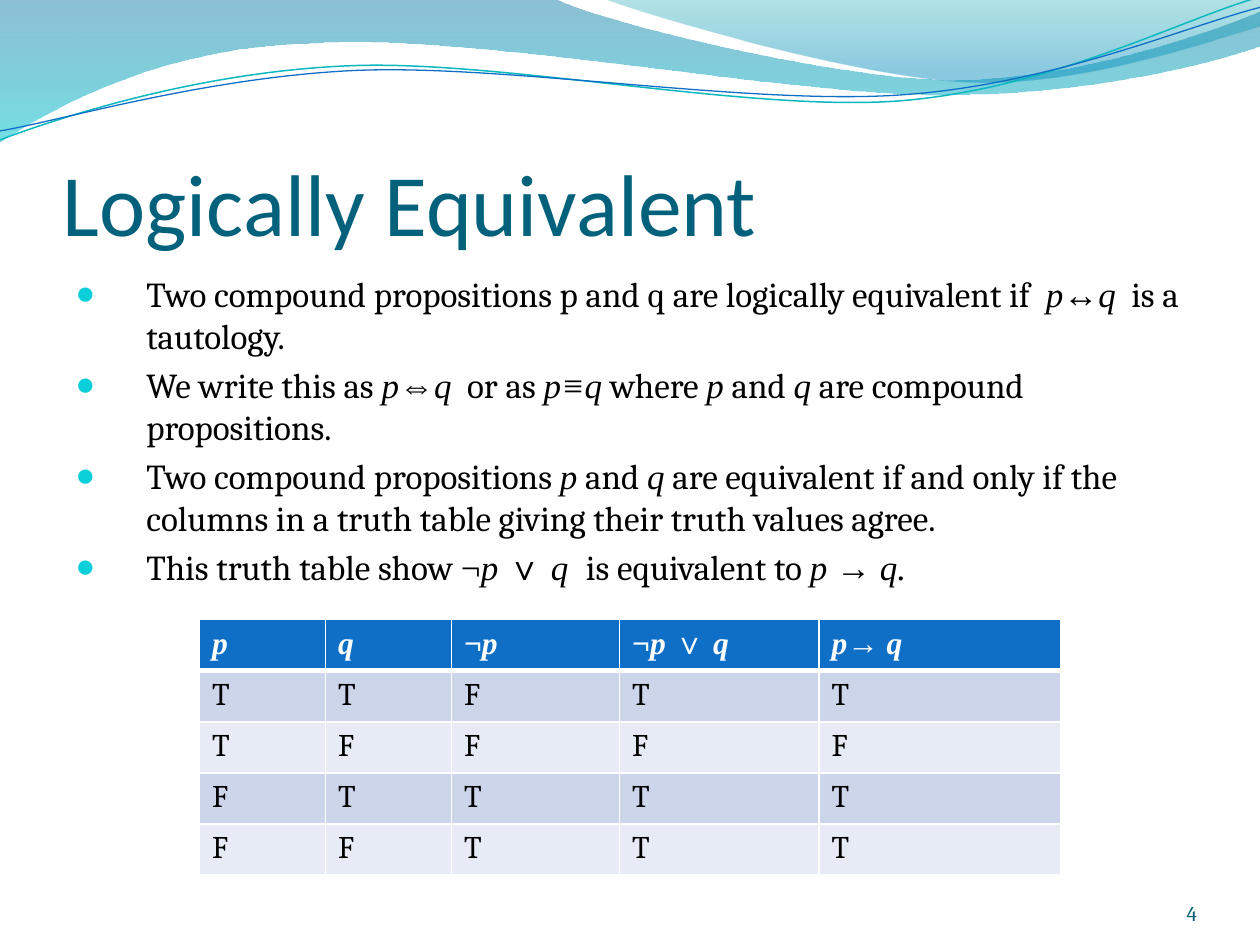
from lxml.etree import SubElement
from pptx import Presentation
from pptx.dml.color import RGBColor
from pptx.enum.text import MSO_ANCHOR, PP_ALIGN
from pptx.oxml.ns import qn
from pptx.util import Cm, Pt

THEME = {
    "title": "04617B", "text": "000000", "bullet": "0BD0D9", "number": "045D75",
    "header": "0F6FC6", "header_text": "FFFFFF", "border": "FFFFFF",
    "bands": ["CCD5EA", "E7EBF5"], "teal_line": "0AB8BF", "blue_line": "0F6FC6",
    # gradient stops: position, colour, opacity in percent
    "wide_wave": [(0, "0074A1", 45), (1, "00C6CF", 55)],
    "right_wave": [(0, "00A1A9", 30), (0.8, "008BBF", 45)],
    "heading_font": "Calibri", "body_font": "Cambria", "math_font": "Times New Roman",
    "title_pt": Pt(50), "body_pt": Pt(20), "table_pt": Pt(18), "number_pt": Pt(12),
}
rgb = RGBColor.from_string


def add_runs(p, marked, color, **fmt):
    """Text between bars is mathematics: italic, but for the logic signs."""
    for i, part in enumerate(marked.split("|")):
        if not part:
            continue
        style = {"name": THEME["body_font"], "italic": False}
        if i % 2:
            style = {"name": THEME["math_font"], "italic": part.strip() not in "¬∨"}
        r = p.add_run()
        r.text = part
        r.font.color.rgb = rgb(THEME[color])
        for key, value in (style | fmt).items():
            setattr(r.font, key, value)


def add_curve(start, segments, closed):
    """Draw straight (2 numbers) and cubic (6 numbers) segments given in cm."""
    points = [(Cm(seg[i]), Cm(seg[i + 1]))
              for seg in segments for i in range(0, len(seg), 2)]
    fb = s.shapes.build_freeform(Cm(start[0]), Cm(start[1]), scale=1.0)
    fb.add_line_segments(points, close=closed)
    sp = fb.convert_to_shape()
    sp.shadow.inherit = False
    # Merge each run of three points into one cubic segment
    steps = iter(list(sp._element.iter(qn("a:lnTo"))))
    for seg in segments:
        first = next(steps)
        if len(seg) == 6:
            first.tag = qn("a:cubicBezTo")
            for _ in range(2):
                extra = next(steps)
                first.append(extra[0])
                extra.getparent().remove(extra)
    return sp


prs = Presentation()
prs.slide_width, prs.slide_height = Cm(25.4), Cm(19.05)
s = prs.slides.add_slide(prs.slide_layouts[6])

# Filled waves along the top
waves = [
    ("wide_wave", (0, 0), [
        (11.18, -0.03), (12.09, 0.43, 16.87, 1.6, 19.25, 1.6),
        (21.67, 1.6, 24.33, 0.66, 25.4, 0.23), (25.43, 0.91),
        (24.97, 1.12, 22.1, 1.93, 18.95, 1.91),
        (15.8, 1.91, 9.7, 0.71, 6.53, 0.86),
        (3.28, 0.91, 1.17, 2.11, -0.03, 2.87), (0, 0)]),
    ("right_wave", (12.17, -0.03), [
        (12.93, 0.28, 17.32, 1.57, 19.53, 1.65),
        (21.74, 1.75, 24.41, 0.81, 25.4, 0.53), (25.4, 0), (12.17, -0.03)]),
]
for name, start, segments in waves:
    sp = add_curve(start, segments, True)
    sp.line.fill.background()
    sp.fill.gradient()
    sp.fill.gradient_angle = 270
    for stop, (position, color, _) in zip(sp.fill.gradient_stops, THEME[name]):
        stop.position = position
        stop.color.rgb = rgb(color)
    for clr, (_, _, opacity) in zip(sp._element.spPr.iter(qn("a:srgbClr")), THEME[name]):
        SubElement(clr, qn("a:alpha"), val=str(opacity * 1000))

# Thin lines under the waves, slightly turned
lines = [
    ("teal_line", 0.85, (-0.05, 2.22), [
        (1.19, 1.82, 4.02, 1.04, 7.05, 1.06), (10.05, 1.07, 15.02, 2.37, 18.08, 2.29),
        (21.13, 2.2, 23.87, 0.91, 25.41, 0.55)]),
    ("blue_line", 0.75, (-0.04, 2.04), [
        (1.16, 1.9, 4.18, 1.15, 7.2, 1.16), (10.25, 1.18, 15.13, 2.25, 18.18, 2.17),
        (21.21, 2.1, 23.93, 1.06, 25.45, 0.75)]),
]
for name, width, start, segments in lines:
    sp = add_curve(start, segments, False)
    sp.rotation = -2.7
    sp.fill.background()
    sp.line.color.rgb = rgb(THEME[name])
    sp.line.width = Pt(width)

# Text boxes for title, body and slide number
edge = {"margin_left": 0, "margin_right": 0, "margin_bottom": 0,
        "vertical_anchor": MSO_ANCHOR.BOTTOM}
boxes = {
    "title": ((1.27, 1.94, 22.86, 3.18), edge | {"margin_top": Cm(0.13)}),
    "body": ((1.27, 5.36, 22.86, 12.19), {}),
    "number": ((22.02, 17.65, 2.11, 1.02), edge | {"margin_top": 0}),
}
frames = {}
for name, (place, settings) in boxes.items():
    tf = s.shapes.add_textbox(*map(Cm, place)).text_frame
    for key, value in ({"word_wrap": True} | settings).items():
        setattr(tf, key, value)
    frames[name] = tf

add_runs(frames["title"].paragraphs[0], "Logically Equivalent", "title",
         name=THEME["heading_font"], size=THEME["title_pt"])
p = frames["number"].paragraphs[0]
p.alignment = PP_ALIGN.RIGHT
add_runs(p, "4", "number", size=THEME["number_pt"])

# Bulleted statements
statements = [
    "Two compound propositions p and q are logically equivalent if  |p↔q|  is a tautology.",
    "We write this as |p⇔q|  or as |p≡q| where |p| and |q| are compound propositions.",
    "Two compound propositions |p| and |q| are equivalent if and only if the columns "
    "in a truth table giving their truth values agree.",
    "This truth table show |¬||p ||∨ ||q  |is equivalent to |p → q.|",
]
tf = frames["body"]
for i, statement in enumerate(statements):
    p = tf.add_paragraph() if i else tf.paragraphs[0]
    p.space_before = Pt(4)
    add_runs(p, statement, "text", size=THEME["body_pt"])
    pPr = p._p.get_or_add_pPr()
    pPr.set("marL", str(Cm(1.43)))
    pPr.set("indent", str(-Cm(1.43)))
    SubElement(SubElement(pPr, qn("a:buClr")), qn("a:srgbClr"), val=THEME["bullet"])
    SubElement(pPr, qn("a:buSzPct"), val="95000")
    SubElement(pPr, qn("a:buFont"), typeface=THEME["math_font"])
    SubElement(pPr, qn("a:buChar"), char="●")

# Truth table
rows = [["|p|", "|q|", "|¬||p|", "|¬||p ||∨ ||q|", "|p→ q|"],
        "TTFTT", "TFFFF", "FTTTT", "FFTTT"]
widths = [2.54, 2.54, 3.39, 4.02, 4.87]
row_height = 1.03
table = s.shapes.add_table(len(rows), len(widths), Cm(4.02), Cm(12.49), Cm(sum(widths)),
                           Cm(row_height * len(rows))).table
for column, width in zip(table.columns, widths):
    column.width = Cm(width)
for r, row in enumerate(rows):
    table.rows[r].height = Cm(row_height)
    header = r == 0
    for c, text in enumerate(row):
        cell = table.cell(r, c)
        tcPr = cell._tc.get_or_add_tcPr()
        for side in "LRTB":
            thick = (r, side) in [(0, "B"), (1, "T")]
            ln = SubElement(tcPr, qn("a:ln" + side), w=str(Pt(3 if thick else 1)))
            SubElement(SubElement(ln, qn("a:solidFill")), qn("a:srgbClr"),
                       val=THEME["border"])
        cell.fill.solid()
        cell.fill.fore_color.rgb = rgb(THEME["header"] if header
                                       else THEME["bands"][(r - 1) % 2])
        add_runs(cell.text_frame.paragraphs[0], text,
                 "header_text" if header else "text",
                 size=THEME["table_pt"], bold=header)

prs.save("out.pptx")
